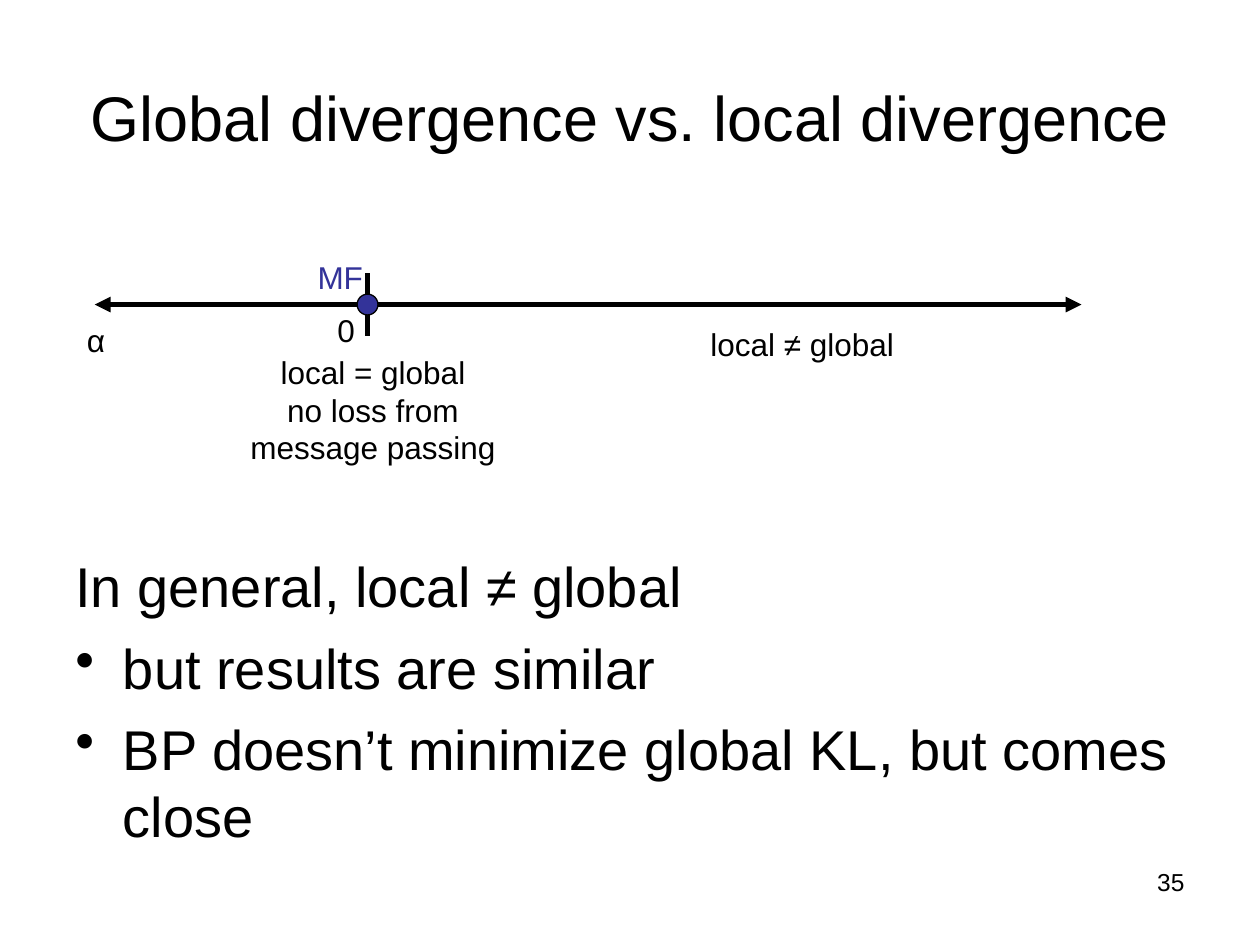
from lxml.etree import SubElement
from pptx import Presentation
from pptx.dml.color import RGBColor
from pptx.enum.shapes import MSO_CONNECTOR, MSO_SHAPE
from pptx.enum.text import MSO_ANCHOR, MSO_AUTO_SIZE, PP_ALIGN
from pptx.oxml.ns import qn
from pptx.util import Cm, Pt

BLACK, BLUE = "000000", "333399"
LEFT, CENTER, RIGHT = PP_ALIGN.LEFT, PP_ALIGN.CENTER, PP_ALIGN.RIGHT


def rgb(value):
    return RGBColor.from_string(value)


class SlideBuilder:
    """Holds the text style and the slide being filled."""

    def __init__(self, s, font="Arial"):
        self.s = s
        self.font = font

    def style(self, p, size, color=BLACK, align=LEFT):
        p.alignment = align
        for name, value in {"name": self.font, "size": Pt(size), "bold": False}.items():
            setattr(p.font, name, value)
        p.font.color.rgb = rgb(color)

    def title(self, text, x, y, w, h):
        sp = self.s.shapes.title
        for name, value in {"left": x, "top": y, "width": w, "height": h}.items():
            setattr(sp, name, Cm(value))
        tf = sp.text_frame
        tf.text = text
        tf.word_wrap = True
        tf.vertical_anchor = MSO_ANCHOR.MIDDLE
        self.style(tf.paragraphs[0], 36, align=CENTER)

    def text(self, lines, x, y, w, h, size=18, color=BLACK, align=LEFT, wrap=False):
        sp = self.s.shapes.add_textbox(Cm(x), Cm(y), Cm(w), Cm(h))
        tf = sp.text_frame
        tf.text = "\n".join(lines)
        tf.word_wrap = wrap
        tf.auto_size = MSO_AUTO_SIZE.NONE
        for p in tf.paragraphs:
            self.style(p, size, color, align)
        return tf

    def bullets(self, lead, items, x, y, w, h, indent=0.96):
        """Add a plain lead line followed by bulleted items."""
        tf = self.text([lead, *items], x, y, w, h, size=32, wrap=True)
        for p in tf.paragraphs[1:]:
            p.space_before = Pt(8)
            pPr = p._p.get_or_add_pPr()
            pPr.set("marL", str(Cm(indent)))
            pPr.set("indent", str(-Cm(indent)))
            bullet = pPr.makeelement(qn("a:buChar"), {"char": "•"})
            pPr.insert_element_before(bullet, "a:tabLst", "a:defRPr", "a:extLst")

    def line(self, x1, y1, x2, y2, arrows=False):
        c = self.s.shapes.add_connector(
            MSO_CONNECTOR.STRAIGHT, Cm(x1), Cm(y1), Cm(x2), Cm(y2))
        c.line.width = Pt(3)
        c.line.color.rgb = rgb(BLACK)
        if arrows:
            ln = c.line._get_or_add_ln()
            for end in ("a:headEnd", "a:tailEnd"):
                SubElement(ln, qn(end), type="triangle")
        SubElement(c._element.spPr, qn("a:effectLst"))

    def dot(self, cx, cy, d):
        sp = self.s.shapes.add_shape(
            MSO_SHAPE.OVAL, Cm(cx - d / 2), Cm(cy - d / 2), Cm(d), Cm(d))
        sp.shadow.inherit = False
        sp.fill.solid()
        sp.fill.fore_color.rgb = rgb(BLUE)
        sp.line.color.rgb = rgb(BLACK)
        sp.line.width = Pt(0.75)


def main():
    prs = Presentation()
    prs.slide_width, prs.slide_height = Cm(25.4), Cm(19.05)
    b = SlideBuilder(prs.slides.add_slide(prs.slide_layouts[5]))

    b.title("Global divergence vs. local divergence", 1.27, 0.76, 22.86, 3.18)
    b.bullets("In general, local ≠ global",
              ["but results are similar",
               "BP doesn’t minimize global KL, but comes close"],
              1.27, 11, 22.86, 6.65)

    axis_y, zero_x, tick = 6.14, 7.41, 1.27
    b.line(1.91, axis_y, 21.8, axis_y, arrows=True)
    b.line(zero_x, axis_y - tick / 2, zero_x, axis_y + tick / 2)
    b.text(["0"], 6.55, 6.14, 0.86, 1.02)
    b.text(["MF"], 6.15, 5.08, 1.42, 1.02, color=BLUE, align=CENTER)
    b.text(["α"], 1.5, 6.35, 0.91, 1.02)
    b.dot(zero_x, axis_y, 0.42)
    b.text(["local = global", "no loss from message passing"],
           4.66, 6.99, 5.72, 2.54, align=CENTER, wrap=True)
    b.text(["local ≠ global"], 14.07, 6.43, 4.37, 1.02)
    b.text(["35"], 18.2, 17.36, 5.93, 1.32, size=14, align=RIGHT, wrap=True)

    prs.save("out.pptx")


if __name__ == "__main__":
    main()
